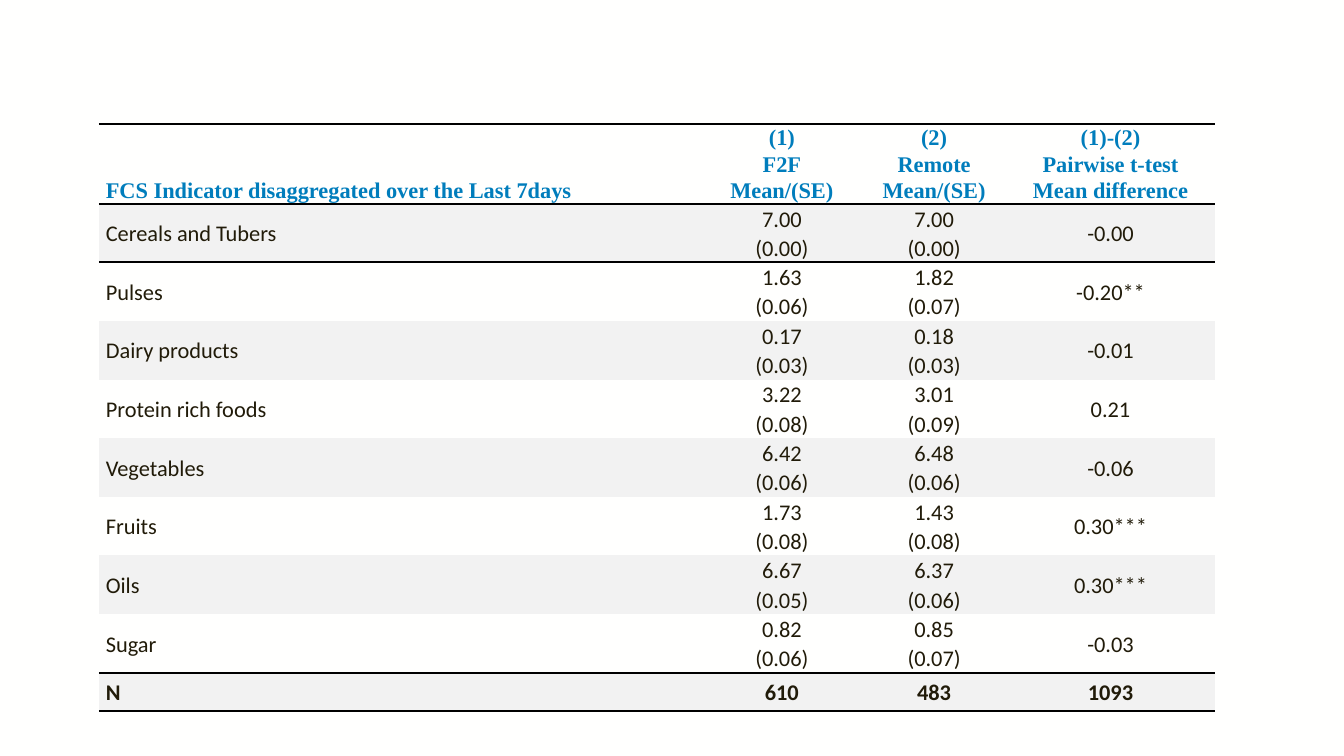
from lxml.etree import SubElement
from pptx import Presentation
from pptx.dml.color import RGBColor
from pptx.enum.text import MSO_ANCHOR, PP_ALIGN
from pptx.oxml.ns import qn
from pptx.util import Inches, Pt

COLORS = {
    "background": "FFFFFE",
    "heading": "007DBC",
    "body": "211B09",
    "band": "F2F2F2",
    "rule": "000000",
}
NO_STYLE = "{2D5ABB26-0587-4C30-8999-92F81FD0307C}"
COLUMN_WIDTHS = [5.98, 1.59, 1.43, 2.07]
HEADER_HEIGHT, FOOD_HEIGHT, TOTAL_HEIGHT = 0.56, 0.49, 0.38
HEADER = [
    "FCS Indicator disaggregated over the Last 7days",
    "(1)\nF2F\nMean/(SE)",
    "(2)\nRemote\nMean/(SE)",
    "(1)-(2)\nPairwise t-test\nMean difference",
]
FOODS = [
    ["Cereals and Tubers", "7.00\n(0.00)", "7.00\n(0.00)", "-0.00"],
    ["Pulses", "1.63\n(0.06)", "1.82\n(0.07)", "-0.20**"],
    ["Dairy products", "0.17\n(0.03)", "0.18\n(0.03)", "-0.01"],
    ["Protein rich foods", "3.22\n(0.08)", "3.01\n(0.09)", "0.21"],
    ["Vegetables", "6.42\n(0.06)", "6.48\n(0.06)", "-0.06"],
    ["Fruits", "1.73\n(0.08)", "1.43\n(0.08)", "0.30***"],
    ["Oils", "6.67\n(0.05)", "6.37\n(0.06)", "0.30***"],
    ["Sugar", "0.82\n(0.06)", "0.85\n(0.07)", "-0.03"],
]
TOTALS = ["N", "610", "483", "1093"]


def color(name):
    return RGBColor.from_string(COLORS[name])


def add_rule(cell, side):
    properties = cell._tc.get_or_add_tcPr()
    line = SubElement(properties, qn(f"a:{side}"), w=str(Pt(1.5)))
    fill = SubElement(line, qn("a:solidFill"))
    SubElement(fill, qn("a:srgbClr"), val=COLORS["rule"])


def format_cell(cell, text, centered, header, total):
    cell.margin_left = cell.margin_right = Inches(0.07)
    cell.margin_top = cell.margin_bottom = 0
    cell.text_frame.text = text
    if "\n" in text:
        cell.vertical_anchor = MSO_ANCHOR.TOP
    else:
        cell.vertical_anchor = MSO_ANCHOR.BOTTOM if header else MSO_ANCHOR.MIDDLE
    for paragraph in cell.text_frame.paragraphs:
        paragraph.alignment = PP_ALIGN.CENTER if centered else PP_ALIGN.LEFT
        paragraph.line_spacing = 1.07
        if total or (header and not centered):
            paragraph.space_after = Pt(8)
        for run in paragraph.runs:
            run.font.size = Pt(16)
            run.font.name = "Times New Roman" if header else "Calibri"
            run.font.bold = header or total
            run.font.color.rgb = color("heading" if header else "body")


def add_indicator_table(slide, left, top, width, height):
    records = [HEADER, *FOODS, TOTALS]
    last = len(records) - 1
    frame = slide.shapes.add_table(
        len(records), len(HEADER), Inches(left), Inches(top), Inches(width), Inches(height)
    )
    table = frame.table
    table._tbl.tblPr.find(qn("a:tableStyleId")).text = NO_STYLE
    table.first_row = table.horz_banding = False
    for column, share in zip(table.columns, COLUMN_WIDTHS):
        column.width = Inches(width * share / sum(COLUMN_WIDTHS))
    row_heights = [HEADER_HEIGHT, *[FOOD_HEIGHT] * len(FOODS), TOTAL_HEIGHT]
    for row, share in zip(table.rows, row_heights):
        row.height = Inches(height * share / sum(row_heights))

    for row_index, record in enumerate(records):
        for column_index, text in enumerate(record):
            cell = table.cell(row_index, column_index)
            format_cell(cell, text, column_index > 0, row_index == 0, row_index == last)
            if row_index in (0, 1, last):
                add_rule(cell, "lnT")
            if row_index in (0, last - 1, last):
                add_rule(cell, "lnB")
            if row_index % 2:
                cell.fill.solid()
                cell.fill.fore_color.rgb = color("band")
            else:
                cell.fill.background()


def main():
    presentation = Presentation()
    presentation.slide_width = Inches(13.33)
    presentation.slide_height = Inches(7.5)
    slide = presentation.slides.add_slide(presentation.slide_layouts[6])
    slide.background.fill.solid()
    slide.background.fill.fore_color.rgb = color("background")
    add_indicator_table(slide, 0.98, 1.23, 11.07, 4.86)
    presentation.save("out.pptx")


if __name__ == "__main__":
    main()
